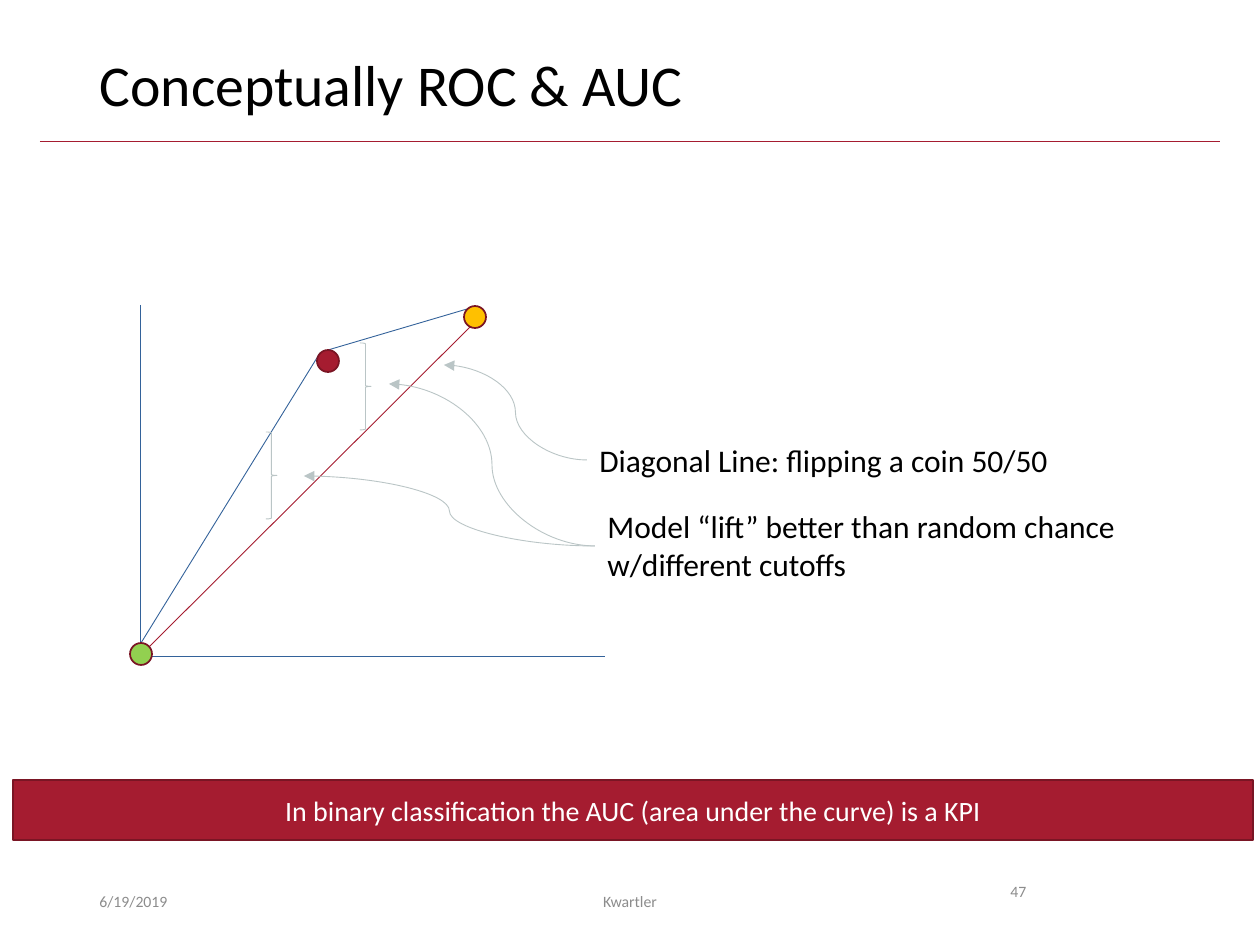
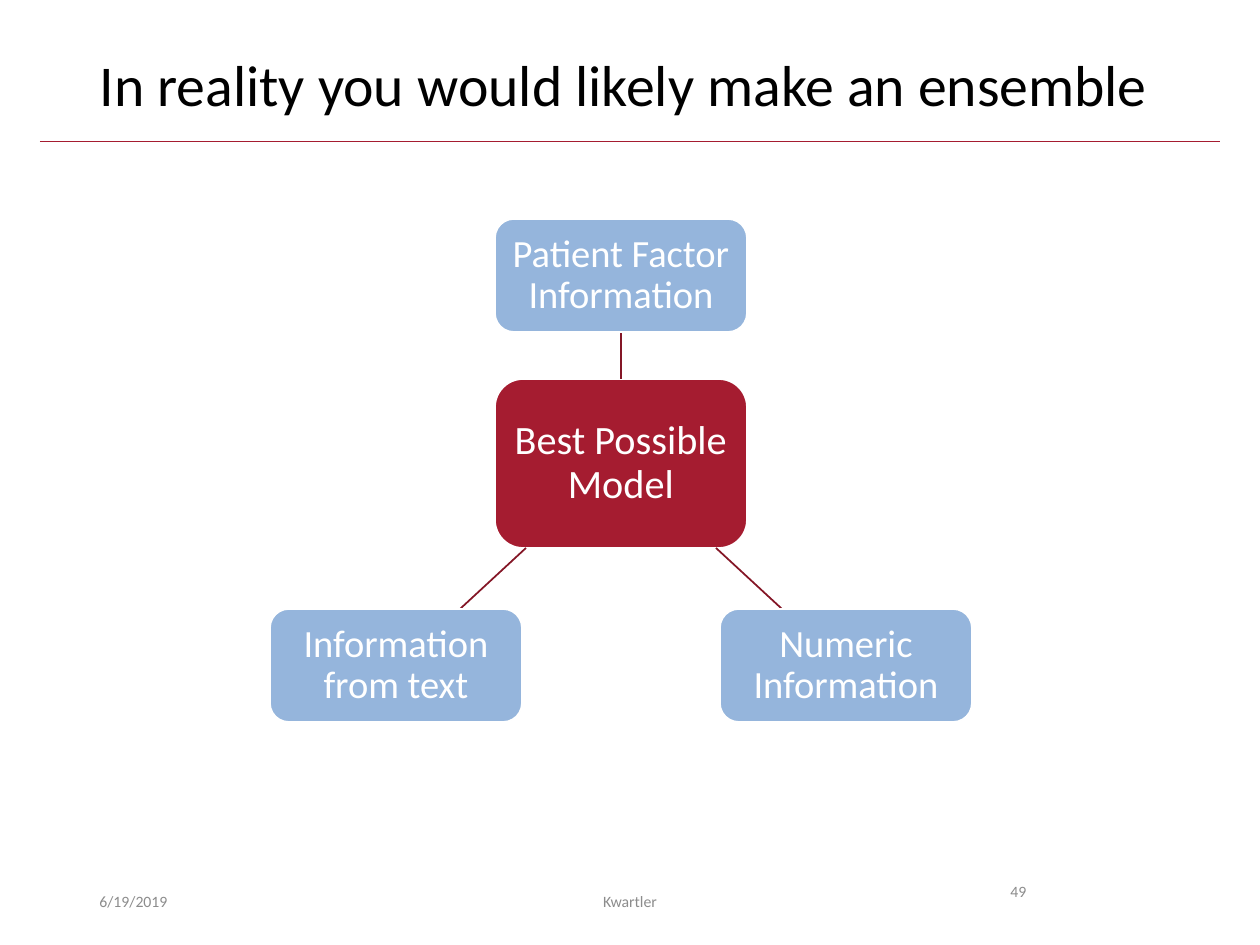
from dataclasses import dataclass

from lxml import etree
from pptx import Presentation
from pptx import util as u
from pptx.dml.color import RGBColor
from pptx.enum import shapes, text
from pptx.oxml.ns import qn


@dataclass(frozen=True)
class Theme:
    font: str = "Calibri"
    black: str = "000000"
    white: str = "FFFFFF"
    grey: str = "8C8C8C"
    silver: str = "BAC5C6"
    crimson: str = "A51C30"
    maroon: str = "7A1524"
    link: str = "841626"
    blue: str = "33629A"
    sky: str = "95B5DC"
    green: str = "92D050"
    amber: str = "FFC000"
    title_size: int = 33
    model_size: int = 23
    input_size: int = 22
    label_size: int = 18
    banner_size: int = 16
    footer_size: int = 9
    hairline: float = 0.5
    outline: float = 1


THEME = Theme()
PX = u.Inches(1) / 126
SLIDE_SIZE = (1260, 945)
TITLE_BOX = (87, 50, 1086, 82)
TITLE_RULE = ((40, 141), (1220, 141))

ALIGN, ANCHOR = text.PP_ALIGN, text.MSO_ANCHOR
SHAPE = shapes.MSO_SHAPE
DATE = ("6/19/2019", (87, 876, 284, 50))
AUTHOR = ("Kwartler", (417, 876, 426, 50))
NUMBER_BOX = (998, 876, 118, 50)

# Slide 1: ROC chart sketch
ROC_TITLE, ROC_NUMBER = "Conceptually ROC & AUC", "47"
ROC_LINES = [
    ((140, 305), (140, 653), THEME.blue),
    ((137, 656), (605, 656), THEME.blue),
    ((140, 656), (474, 323), THEME.crimson),
    ((141, 643), (320, 353), THEME.blue),
    ((328, 350), (467, 309), THEME.blue),
]
POINT_SIZE = 22
ROC_POINTS = [
    ((328, 361), THEME.crimson),
    ((141, 654), THEME.green),
    ((475, 317), THEME.amber),
]
LIFT_BRACES = [(360, 343, 11, 87), (266, 432, 11, 87)]
ROC_LABELS = [
    ("Diagonal Line: flipping a coin 50/50", (587, 435, 480, 50), False),
    ("Model “lift” better than random chance w/different cutoffs",
     (595, 501, 599, 89), True),
]
LABEL_ARROWS = [
    ((587, 460), (444, 365)),
    ((595, 546), (389, 384)),
    ((595, 546), (304, 476)),
]
BANNER = ("In binary classification the AUC (area under the curve) is a KPI",
          (13, 780, 1240, 60))

# Slide 2: inputs around one model
ENSEMBLE_TITLE = "In reality you would likely make an ensemble"
ENSEMBLE_NUMBER = "49"
CENTER_X, NODE_WIDTH, NODE_INSET = 621, 252, 5
MODEL = ("Best Possible Model", 379, 169)
INPUT_HEIGHT = 113
INPUTS = [  # text, offset from the centre, top
    ("Patient Factor Information", 0, 219),
    ("Numeric Information", 225, 609),
    ("Information from text", -225, 609),
]
MODEL_LINKS = [  # offsets from the centre and heights of both ends
    ((0, 379), (0, 333)),
    ((95, 548), (161, 609)),
    ((-95, 548), (-161, 609)),
]


def emu(pixels):
    return [round(value * PX) for value in pixels]


def rgb(color):
    return RGBColor.from_string(color)


def write(shape, content, size, color, align=ALIGN.LEFT, anchor=ANCHOR.TOP,
          spacing=None, wrap=True):
    frame = shape.text_frame
    frame.text = content
    frame.word_wrap = wrap
    frame.auto_size = text.MSO_AUTO_SIZE.NONE
    frame.vertical_anchor = anchor
    paragraph = frame.paragraphs[0]
    paragraph.alignment = align
    if spacing:
        paragraph.line_spacing = spacing
    font = paragraph.runs[0].font
    font.name, font.size = THEME.font, u.Pt(size)
    font.color.rgb = rgb(color)


def add_text(slide, content, box, size, color, **layout):
    shape = slide.shapes.add_textbox(*emu(box))
    write(shape, content, size, color, **layout)


def add_shape(slide, kind, box, fill, line, width=THEME.outline):
    shape = slide.shapes.add_shape(kind, *emu(box))
    shape.shadow.inherit = False
    if fill:
        shape.fill.solid()
        shape.fill.fore_color.rgb = rgb(fill)
    else:
        shape.fill.background()
    shape.line.color.rgb = rgb(line)
    shape.line.width = u.Pt(width)
    return shape


def add_line(slide, start, end, color, width=THEME.hairline, curved_arrow=False):
    kind = shapes.MSO_CONNECTOR.CURVE if curved_arrow else shapes.MSO_CONNECTOR.STRAIGHT
    connector = slide.shapes.add_connector(kind, *emu(start + end))
    connector.line.color.rgb = rgb(color)
    connector.line.width = u.Pt(width)
    properties = connector._element.spPr
    if curved_arrow:
        etree.SubElement(properties.find(qn("a:ln")), qn("a:tailEnd"), type="triangle")
    etree.SubElement(properties, qn("a:effectLst"))


def add_slide(presentation, title, number):
    """Add a slide with the shared title, rule and footer."""
    slide = presentation.slides.add_slide(presentation.slide_layouts[5])
    heading = slide.shapes.title
    heading.left, heading.top, heading.width, heading.height = emu(TITLE_BOX)
    write(heading, title, THEME.title_size, THEME.black, spacing=0.9)
    add_line(slide, *TITLE_RULE, THEME.crimson)
    footer = (THEME.footer_size, THEME.grey)
    add_text(slide, *DATE, *footer, anchor=ANCHOR.MIDDLE)
    add_text(slide, *AUTHOR, *footer, align=ALIGN.CENTER, anchor=ANCHOR.MIDDLE)
    add_text(slide, number, NUMBER_BOX, *footer)
    return slide


def build_roc(presentation):
    slide = add_slide(presentation, ROC_TITLE, ROC_NUMBER)
    for start, end, color in ROC_LINES:
        add_line(slide, start, end, color)
    for (x, y), color in ROC_POINTS:
        box = (x - POINT_SIZE / 2, y - POINT_SIZE / 2, POINT_SIZE, POINT_SIZE)
        add_shape(slide, SHAPE.OVAL, box, color, THEME.maroon)
    for box in LIFT_BRACES:
        add_shape(slide, SHAPE.RIGHT_BRACE, box, None, THEME.silver, THEME.hairline)
    for content, box, wrap in ROC_LABELS:
        add_text(slide, content, box, THEME.label_size, THEME.black, wrap=wrap)
    for start, end in LABEL_ARROWS:
        add_line(slide, start, end, THEME.silver, curved_arrow=True)
    content, box = BANNER
    banner = add_shape(slide, SHAPE.RECTANGLE, box, THEME.crimson, THEME.maroon)
    write(banner, content, THEME.banner_size, THEME.white,
          align=ALIGN.CENTER, anchor=ANCHOR.MIDDLE)


def add_node(slide, content, offset, top, height, fill, size):
    box = (CENTER_X + offset - NODE_WIDTH / 2, top, NODE_WIDTH, height)
    node = add_shape(slide, SHAPE.ROUNDED_RECTANGLE, box, fill, THEME.white)
    write(node, content, size, THEME.white,
          align=ALIGN.CENTER, anchor=ANCHOR.MIDDLE, spacing=0.9)
    frame = node.text_frame
    frame.margin_left, frame.margin_right = emu((NODE_INSET, NODE_INSET))


def build_ensemble(presentation):
    slide = add_slide(presentation, ENSEMBLE_TITLE, ENSEMBLE_NUMBER)
    content, top, height = MODEL
    add_node(slide, content, 0, top, height, THEME.crimson, THEME.model_size)
    for link in MODEL_LINKS:
        start, end = [(CENTER_X + offset, y) for offset, y in link]
        add_line(slide, start, end, THEME.link, THEME.outline)
    for content, offset, top in INPUTS:
        add_node(slide, content, offset, top, INPUT_HEIGHT, THEME.sky, THEME.input_size)


def main():
    presentation = Presentation()
    presentation.slide_width, presentation.slide_height = emu(SLIDE_SIZE)
    build_roc(presentation)
    build_ensemble(presentation)
    presentation.save("out.pptx")


if __name__ == "__main__":
    main()
